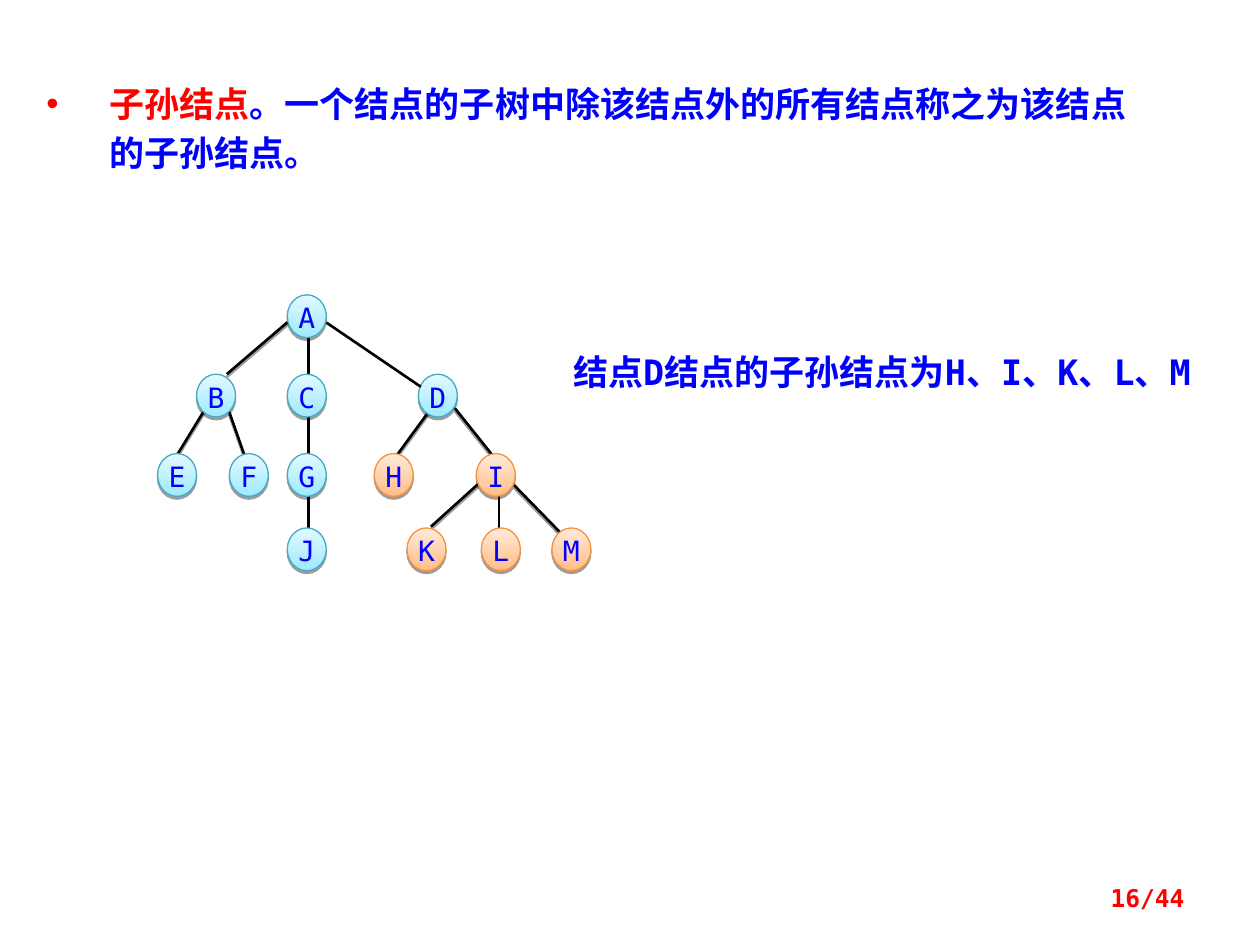
from lxml.etree import SubElement
from pptx import Presentation
from pptx.dml.color import RGBColor
from pptx.enum.shapes import MSO_CONNECTOR, MSO_SHAPE
from pptx.enum.text import MSO_ANCHOR, PP_ALIGN
from pptx.oxml import parse_xml
from pptx.oxml.ns import nsdecls, qn
from pptx.util import Inches, Pt

COLORS = {k: RGBColor.from_string(v) for k, v in {
    "red": "FF0000", "blue": "0000FF", "black": "000000",
    "cyan_dark": "9EEAFF", "cyan_light": "E4F9FF", "cyan_line": "46AAC5",
    "orange_dark": "FFBE86", "orange_light": "FFEBDB", "orange_line": "F69240",
}.items()}
LATIN, CJK = "DejaVu Sans Mono", "Noto Sans CJK SC"
SHADOW = (f'<a:effectLst {nsdecls("a")}><a:outerShdw dist="20320" dir="5400000" rotWithShape="0">'
          '<a:srgbClr val="000000"><a:alpha val="38000"/></a:srgbClr></a:outerShdw></a:effectLst>')
NO_SHADOW = f'<a:effectLst {nsdecls("a")}/>'


def add_run(p, text, size, color, bold=True, latin=LATIN):
    r = p.add_run()
    r.text = text
    r.font.size, r.font.bold, r.font.name = Pt(size), bold, latin
    SubElement(r.font._element, qn("a:ea")).set("typeface", CJK)
    r.font.color.rgb = COLORS[color]


def add_edge(x1, y1, x2, y2, effect):
    line = s.shapes.add_connector(MSO_CONNECTOR.STRAIGHT, Inches(x1), Inches(y1),
                                  Inches(x2), Inches(y2))
    line.line.color.rgb = COLORS["black"]
    line.line.width = Pt(1.5)
    line._element.spPr.append(parse_xml(effect))


prs = Presentation()
prs.slide_width, prs.slide_height = Inches(10), Inches(7.5)
s = prs.slides.add_slide(prs.slide_layouts[6])

# Text boxes: definition, example, page number
frames = []
for box in [(0.27, 0.55, 8.94, 0.88), (4.45, 2.73, 5.23, 0.77), (7.17, 6.95, 2.33, 0.4)]:
    tf = s.shapes.add_textbox(*map(Inches, box)).text_frame
    tf.word_wrap = True
    frames.append(tf)
definition, example, page = frames

p = definition.paragraphs[0]
p.line_spacing = Pt(28)
pPr = p._p.get_or_add_pPr()
pPr.set("marL", str(Inches(0.5)))
pPr.set("indent", str(Inches(-0.5)))
SubElement(SubElement(pPr, qn("a:buClr")), qn("a:srgbClr")).set("val", str(COLORS["red"]))
SubElement(pPr, qn("a:buFont")).set("typeface", "Arial")
SubElement(pPr, qn("a:buChar")).set("char", "•")
add_run(p, "子孙结点", 20, "red", latin=CJK)
add_run(p, "。一个结点的子树中除该结点外的所有结点称之为该结点的子孙结点。", 20, "blue")

add_run(example.paragraphs[0], "结点D结点的子孙结点为H、I、K、L、M", 20, "blue")

page.vertical_anchor = MSO_ANCHOR.MIDDLE
p = page.paragraphs[0]
p.alignment = PP_ALIGN.RIGHT
p.line_spacing = 0.8
add_run(p, "16/44", 14, "red")

# Tree edges, behind the nodes
for edge in [(3.43, 3.23, 3.13, 3.64), (3.61, 3.24, 3.93, 3.64),
             (4.08, 3.85, 4.45, 4.23), (3.83, 3.81, 3.42, 4.18),
             (1.82, 3.27, 1.96, 3.67), (1.62, 3.26, 1.4, 3.62),
             (2.29, 2.55, 1.8, 2.97)]:
    add_edge(*edge, SHADOW)
for edge in [(3.96, 3.93, 3.96, 4.24), (2.45, 2.66, 2.45, 4.24)]:
    add_edge(*edge, NO_SHADOW)

# Tree nodes by level: top, then label and left of each node
levels = [
    (2.34, {"A": 2.28}),
    (2.97, {"B": 1.56, "C": 2.28, "D": 3.32}),
    (3.6, {"E": 1.25, "F": 1.82, "G": 2.28, "H": 2.97, "I": 3.78}),
    (4.19, {"J": 2.28, "K": 3.23, "L": 3.82, "M": 4.38}),
]
for top, nodes in levels:
    for label, left in nodes.items():
        hue = "orange" if label in "HIKLM" else "cyan"
        sp = s.shapes.add_shape(MSO_SHAPE.OVAL, Inches(left), Inches(top),
                                Inches(0.31), Inches(0.34))
        sp.fill.gradient()
        sp.fill.gradient_angle = 90
        for stop, tone in zip(sp.fill.gradient_stops, ("dark", "light")):
            stop.color.rgb = COLORS[f"{hue}_{tone}"]
        sp.line.color.rgb = COLORS[f"{hue}_line"]
        sp.line.width = Pt(0.75)
        sp._element.spPr.append(parse_xml(SHADOW))
        tf = sp.text_frame
        tf.margin_left = tf.margin_right = tf.margin_top = tf.margin_bottom = 0
        tf.vertical_anchor = MSO_ANCHOR.TOP
        p = tf.paragraphs[0]
        p.alignment = PP_ALIGN.CENTER
        p.line_spacing = Pt(19)
        add_run(p, label, 16, "blue", bold=False)

# Edge from A to D, in front of the nodes
add_edge(2.59, 2.56, 3.34, 3.07, NO_SHADOW)

prs.save("out.pptx")
